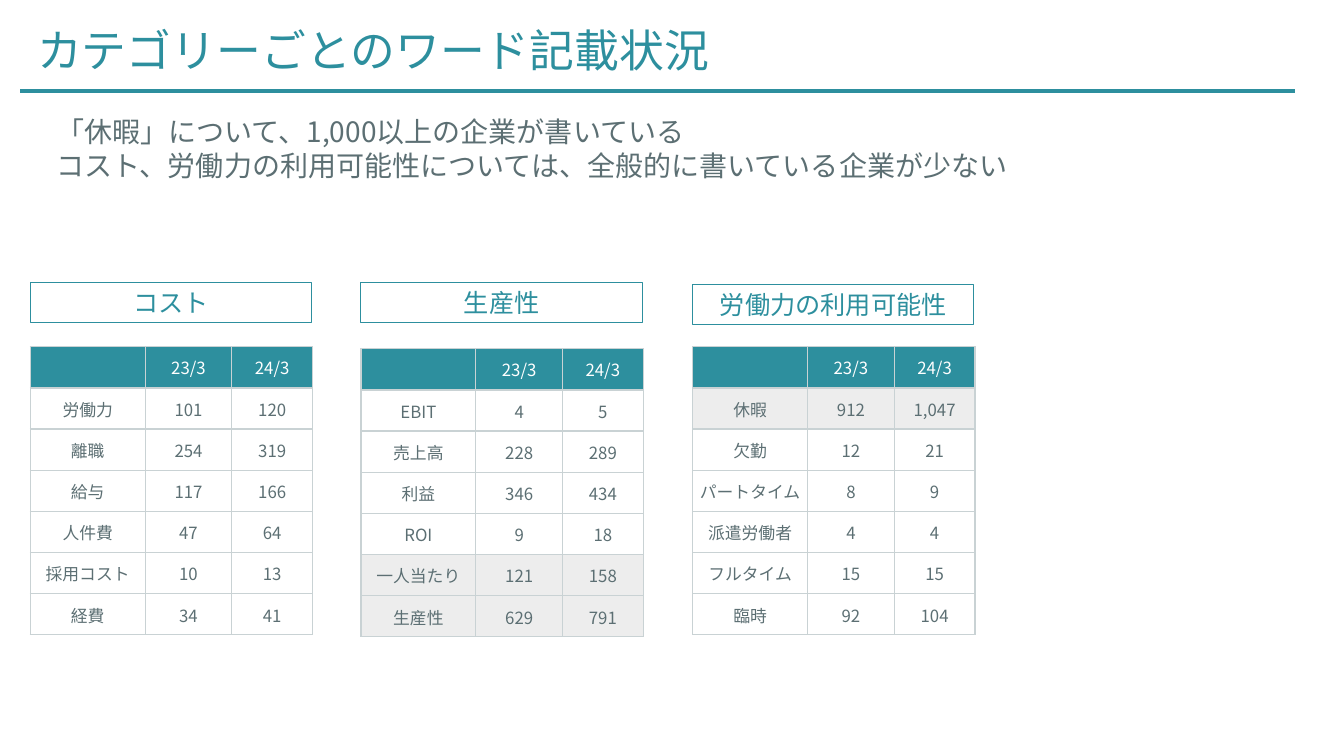
from pptx import Presentation
from pptx import util as u
from pptx.dml.color import RGBColor
from pptx.enum import shapes, text
from pptx.oxml import parse_xml
from pptx.oxml.ns import nsdecls, qn

TEAL, GREY, WHITE = "2D8F9E", "5C6F73", "FFFFFF"
BORDER, HIGHLIGHT = "C9D2D4", "EDEDED"
CENTER = text.PP_ALIGN.CENTER


def color(value):
    return RGBColor.from_string(value)


class SlideBuilder:
    font = "Noto Sans CJK JP"

    def __init__(self, slide):
        self.slide = slide

    def add_span(self, para, words, size, ink, align=None):
        para.alignment = align
        span = para.add_run()
        span.text = words
        span.font.size = u.Pt(size)
        span.font.name = self.font
        span.font.color.rgb = color(ink)
        east_asian = parse_xml(f'<a:ea {nsdecls("a")} typeface="{self.font}"/>')
        span.font._element.find(qn("a:latin")).addnext(east_asian)

    def text_box(self, left, top, width, height, lines, size, ink):
        box = self.slide.shapes.add_textbox(*map(u.Inches, (left, top, width, height)))
        frame = box.text_frame
        frame.word_wrap = True
        frame.auto_size = text.MSO_AUTO_SIZE.SHAPE_TO_FIT_TEXT
        for index, line in enumerate(lines):
            para = frame.add_paragraph() if index else frame.paragraphs[0]
            self.add_span(para, line, size, ink)

    def heading(self, left, top, width, height, words):
        box = self.slide.shapes.add_shape(
            shapes.MSO_SHAPE.RECTANGLE, *map(u.Inches, (left, top, width, height)))
        box.shadow.inherit = False
        box.fill.background()
        box.line.color.rgb = color(TEAL)
        box.line.width = u.Pt(0.75)
        frame = box.text_frame
        frame.word_wrap = True
        frame.auto_size = text.MSO_AUTO_SIZE.SHAPE_TO_FIT_TEXT
        frame.vertical_anchor = text.MSO_ANCHOR.TOP
        self.add_span(frame.paragraphs[0], words, 18, TEAL, CENTER)

    def rule(self, left, right, top):
        line = self.slide.shapes.add_connector(
            shapes.MSO_CONNECTOR.STRAIGHT, *map(u.Inches, (left, top, right, top)))
        line.line.color.rgb = color(TEAL)
        line.line.width = u.Pt(3)
        line._element.spPr.append(parse_xml(f'<a:effectLst {nsdecls("a")}/>'))

    def cell(self, cell, words, header, fill):
        cell.vertical_anchor = text.MSO_ANCHOR.MIDDLE
        if not header:
            cell.margin_left = cell.margin_right = cell.margin_top = u.Inches(0.01)
            cell.margin_bottom = 0
        if words:
            self.add_span(cell.text_frame.paragraphs[0], words, 12,
                          WHITE if header else GREY, CENTER)
        # Borders come before the fill in the cell properties
        properties = cell._tc.get_or_add_tcPr()
        for side in ("lnL", "lnR", "lnT", "lnB"):
            properties.append(parse_xml(
                f'<a:{side} {nsdecls("a")} w="12700"><a:solidFill>'
                f'<a:srgbClr val="{BORDER}"/></a:solidFill></a:{side}>'))
        if fill:
            cell.fill.solid()
            cell.fill.fore_color.rgb = color(fill)
        else:
            cell.fill.background()

    def table(self, left, top, widths, height, rows, highlighted):
        frame = self.slide.shapes.add_table(
            len(rows), len(widths),
            *map(u.Inches, (left, top, sum(widths), height)))
        table = frame.table
        table.first_row = table.horz_banding = False
        for column, width in zip(table.columns, widths):
            column.width = u.Inches(width)
        for r, values in enumerate(rows):
            table.rows[r].height = u.Inches(height / len(rows))
            fill = TEAL if r == 0 else HIGHLIGHT if values[0] in highlighted else None
            for c, words in enumerate(values):
                self.cell(table.cell(r, c), words, r == 0, fill)


HEADER = ("", "23/3", "24/3")
# Name, left, heading top, table top, rows, highlighted rows
CATEGORIES = [
    ("コスト", 0.3, 2.8, 3.44,
     [("労働力", "101", "120"), ("離職", "254", "319"), ("給与", "117", "166"),
      ("人件費", "47", "64"), ("採用コスト", "10", "13"), ("経費", "34", "41")], ()),
    ("生産性", 3.58, 2.8, 3.46,
     [("EBIT", "4", "5"), ("売上高", "228", "289"), ("利益", "346", "434"),
      ("ROI", "9", "18"), ("一人当たり", "121", "158"), ("生産性", "629", "791")],
     ("一人当たり", "生産性")),
    ("労働力の利用可能性", 6.87, 2.82, 3.44,
     [("休暇", "912", "1,047"), ("欠勤", "12", "21"), ("パートタイム", "8", "9"),
      ("派遣労働者", "4", "4"), ("フルタイム", "15", "15"), ("臨時", "92", "104")],
     ("休暇",)),
]


def main():
    deck = Presentation()
    deck.slide_width, deck.slide_height = u.Inches(13.33), u.Inches(7.5)
    page = SlideBuilder(deck.slides.add_slide(deck.slide_layouts[6]))

    # Category tables and their headings
    for name, left, heading_top, table_top, rows, highlighted in CATEGORIES:
        page.table(left, table_top, (1.14, 0.86, 0.8), 2.86,
                   [HEADER] + rows, highlighted)
        page.heading(left, heading_top, 2.79, 0.4, name)

    # Title, rule and key message
    page.text_box(0.27, 0.18, 11.71, 0.64, ["カテゴリーごとのワード記載状況"], 32, TEAL)
    page.rule(0.2, 12.84, 0.9)
    page.text_box(0.46, 1.09, 12.42, 0.77,
                  ["「休暇」について、1,000以上の企業が書いている",
                   "コスト、労働力の利用可能性については、全般的に書いている企業が少ない"],
                  20, GREY)

    deck.save("out.pptx")


if __name__ == "__main__":
    main()
